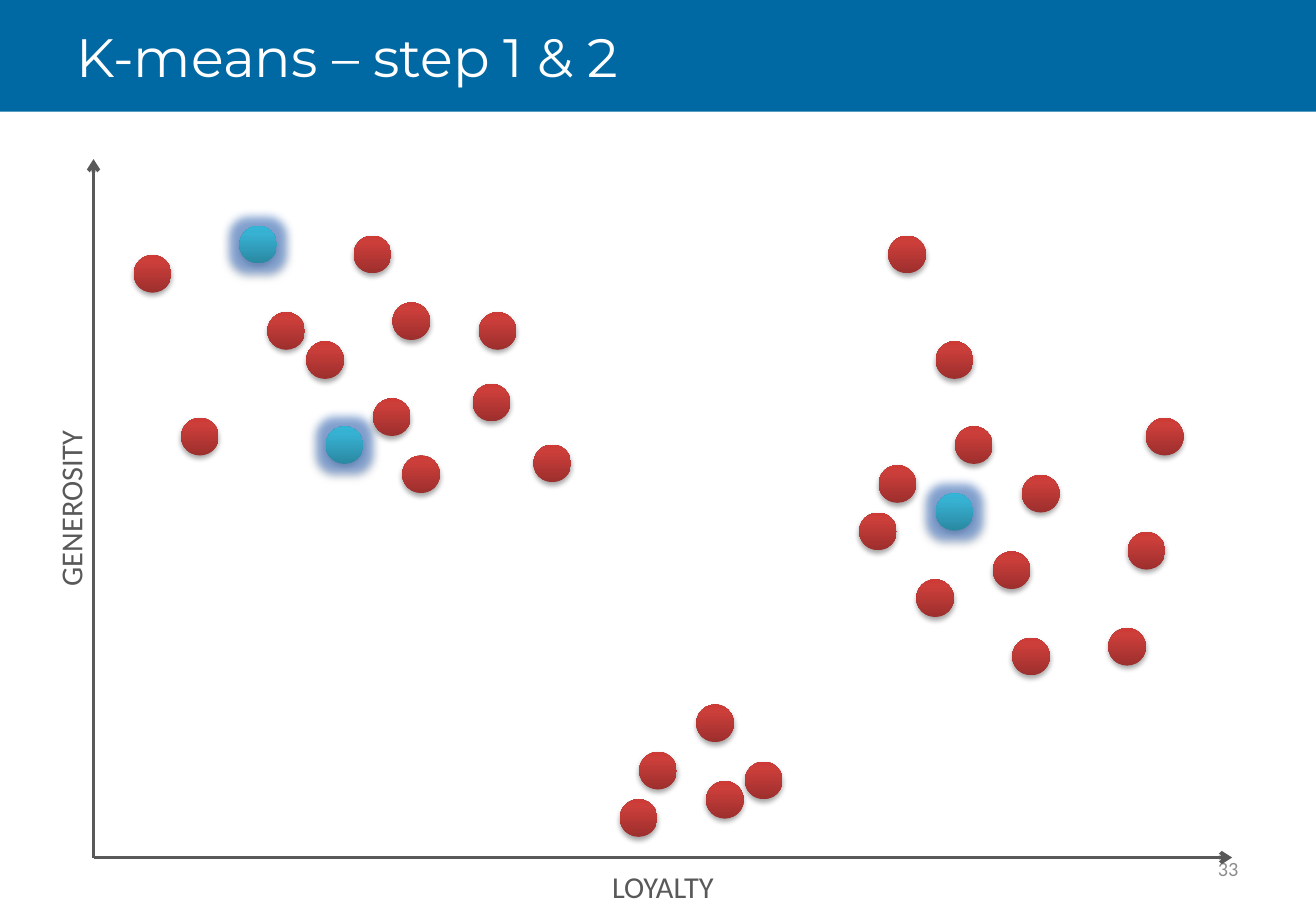
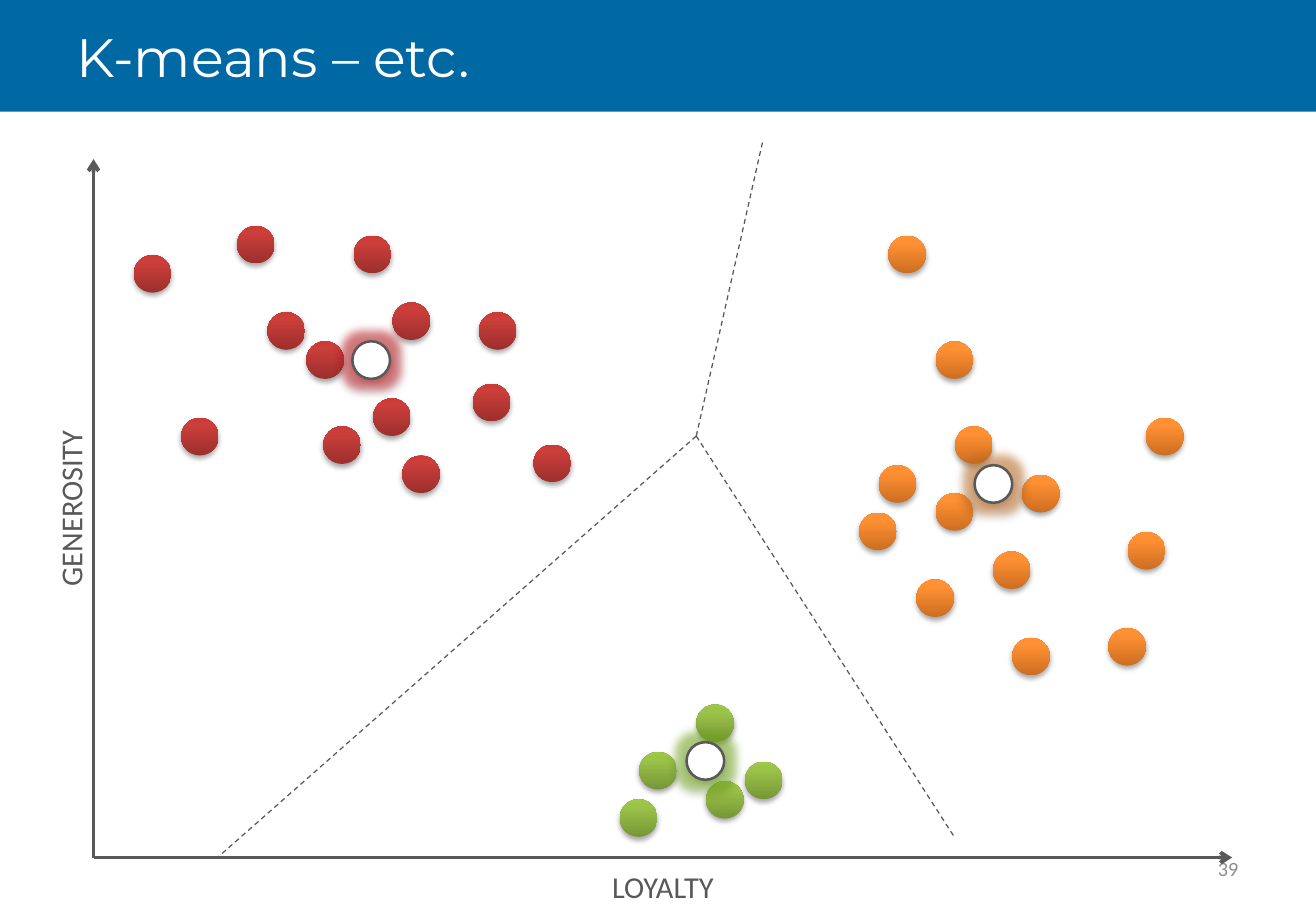
from lxml import etree
from pptx import Presentation
from pptx.dml.color import RGBColor
from pptx.enum.dml import MSO_LINE
from pptx.enum.shapes import MSO_CONNECTOR, MSO_SHAPE
from pptx.enum.text import MSO_ANCHOR, MSO_AUTO_SIZE, PP_ALIGN
from pptx.oxml import parse_xml
from pptx.oxml.ns import nsdecls, qn
from pptx.util import Inches, Pt

OVAL, RECTANGLE = MSO_SHAPE.OVAL, MSO_SHAPE.RECTANGLE
STRAIGHT = MSO_CONNECTOR.STRAIGHT
DASH = MSO_LINE.DASH
MIDDLE = MSO_ANCHOR.MIDDLE
LEFT, CENTER, RIGHT = PP_ALIGN.LEFT, PP_ALIGN.CENTER, PP_ALIGN.RIGHT

BAND_BLUE = RGBColor(0x00, 0x68, 0xA2)
WHITE = RGBColor(0xFF, 0xFF, 0xFF)
BLACK = RGBColor(0x00, 0x00, 0x00)
AXIS_GRAY = RGBColor(0x59, 0x59, 0x59)
NUMBER_GRAY = RGBColor(0x8C, 0x8C, 0x8C)
GLOW_BLUE = RGBColor(0x2F, 0x6B, 0xC6)
GLOW_RED = RGBColor(0xCB, 0x1B, 0x21)
GLOW_ORANGE = RGBColor(0xD3, 0x79, 0x29)
GLOW_GREEN = RGBColor(0x7F, 0xBB, 0x21)

# Gradient colours at 0, 80 and 100 %, from the bottom up
RED = (RGBColor(0x9C, 0x2F, 0x2D), RGBColor(0xCB, 0x3E, 0x3A), RGBColor(0xCE, 0x3B, 0x37))
TEAL = (RGBColor(0x2A, 0x88, 0xA2), RGBColor(0x37, 0xB1, 0xD2), RGBColor(0x34, 0xB4, 0xD6))
ORANGE = (RGBColor(0xCC, 0x6E, 0x20), RGBColor(0xFF, 0x90, 0x34), RGBColor(0xFF, 0x91, 0x36))
GREEN = (RGBColor(0x77, 0x97, 0x37), RGBColor(0x9B, 0xC3, 0x48), RGBColor(0x9D, 0xC7, 0x46))

TITLE_FONT, BODY_FONT = "Montserrat", "Calibri"
SLIDE_W, SLIDE_H = 10.83, 7.5
BAND_H = 0.92
TITLE_BOX = (0.53, 0, 9.75, BAND_H)
NUMBER_BOX = (7.76, 6.95, 2.53, 0.4)
PLOT = (0.77, 1.31, 9.37, 5.75)
DOT = 0.31

# Dots are given by their top left corner, measured from that of the plot
LEFT_CLUSTER = [
    (2.46, 1.18), (1.43, 1.26), (2.14, 0.63), (3.12, 1.85), (1.75, 1.5), (3.62, 2.35),
    (0.33, 0.79), (3.17, 1.26), (2.3, 1.97), (2.54, 2.44), (0.72, 2.13),
]
RIGHT_CLUSTER = [
    (6.93, 1.5), (6.54, 0.63), (8.66, 2.13), (7.09, 2.2), (7.4, 3.23), (6.77, 3.46),
    (6.3, 2.91), (7.64, 2.6), (6.46, 2.52), (8.51, 3.07), (8.35, 3.86), (7.56, 3.94),
]
BOTTOM_CLUSTER = [(4.33, 5.27), (4.96, 4.49), (5.04, 5.12), (5.36, 4.96), (4.49, 4.88)]
SEEDS = [(1.2, 0.55), (1.91, 2.2), (6.93, 2.75)]
FORMER_LEFT_SEEDS = [(1.18, 0.55), (1.89, 2.2)]
FORMER_RIGHT_SEED = (6.93, 2.75)
CENTROIDS = [((2.13, 1.5), GLOW_RED), ((7.25, 2.52), GLOW_ORANGE), ((4.88, 4.8), GLOW_GREEN)]
BORDER_MEETING = (4.96, 2.28)
BORDER_ENDS = [(7.09, 5.59), (1.02, 5.75), (5.51, -0.16)]


def inches(values):
    return [Inches(value) for value in values]


def write(frame, text, font, size, color, align):
    frame.text = text
    paragraph = frame.paragraphs[0]
    paragraph.alignment = align
    run_font = paragraph.runs[0].font
    run_font.name, run_font.size, run_font.color.rgb = font, Pt(size), color


def set_up_layout(prs):
    """Put the title place and the blue band on the layout both slides use."""
    layout = prs.slide_layouts.get_by_name("Title Only")
    title = layout.placeholders[0]
    title.left, title.top, title.width, title.height = inches(TITLE_BOX)
    title.text_frame.vertical_anchor = MIDDLE
    return layout


def move_band_to_layout(slide, layout):
    band = slide.shapes.add_shape(RECTANGLE, *inches((0, 0, SLIDE_W, BAND_H)))
    band.fill.solid()
    band.fill.fore_color.rgb = BAND_BLUE
    band.line.fill.background()
    band.shadow.inherit = False
    layout.shapes._spTree.insert(2, band._element)


def add_titled_slide(prs, layout, title, number):
    slide = prs.slides.add_slide(layout)
    frame = slide.shapes.title.text_frame
    write(frame, title, TITLE_FONT, 32, WHITE, LEFT)
    frame.auto_size = MSO_AUTO_SIZE.NONE
    number_frame = slide.shapes.add_textbox(*inches(NUMBER_BOX)).text_frame
    number_frame.word_wrap = True
    number_frame.vertical_anchor = MIDDLE
    write(number_frame, number, BODY_FONT, 12, NUMBER_GRAY, RIGHT)
    return slide


def add_line(slide, start, end, width, dash=None, arrow=False):
    line = slide.shapes.add_connector(STRAIGHT, *inches((*start, *end)))
    line.line.color.rgb = AXIS_GRAY
    line.line.width = Pt(width)
    if dash:
        line.line.dash_style = dash
    if arrow:
        etree.SubElement(line.line._get_or_add_ln(), qn("a:tailEnd"), type="arrow")
    etree.SubElement(line._element.spPr, qn("a:effectLst"))


def add_axis_label(slide, text, center, width, rotation=0):
    height = 0.4
    x, y = center
    label = slide.shapes.add_textbox(*inches((x - width / 2, y - height / 2, width, height)))
    label.rotation = rotation
    label.text_frame.word_wrap = False
    label.text_frame.auto_size = MSO_AUTO_SIZE.SHAPE_TO_FIT_TEXT
    write(label.text_frame, text, BODY_FONT, 18, AXIS_GRAY, CENTER)


def add_axes(slide, box):
    left, top, width, height = box
    origin = (left, top + height)
    for end in ((left + width, top + height), (left, top)):
        add_line(slide, origin, end, 2.25, arrow=True)
    add_axis_label(slide, "LOYALTY", (left + width / 2, top + height + 0.24), 1.05)
    add_axis_label(slide, "GENEROSITY", (left - 0.19, top + height / 2), 1.5, 270)


def alpha_color(color, percent):
    return f'<a:srgbClr val="{color}"><a:alpha val="{percent * 1000}"/></a:srgbClr>'


def add_effects(dot, glow):
    dot.shadow.inherit = False
    effects = dot._element.spPr.find(qn("a:effectLst"))
    if glow:
        effects.append(parse_xml(
            f'<a:glow {nsdecls("a")} rad="139700">{alpha_color(glow, 50)}</a:glow>'))
    effects.append(parse_xml(
        f'<a:outerShdw {nsdecls("a")} blurRad="{Pt(3.1)}" dist="{Pt(1.8)}" dir="5400000" '
        f'rotWithShape="0">{alpha_color(BLACK, 35)}</a:outerShdw>'))


def add_dot(slide, box, offset, gradient=None, glow=None):
    """Add a gradient dot, or a white outlined one if no gradient is given."""
    dot = slide.shapes.add_shape(
        OVAL, *inches((box[0] + offset[0], box[1] + offset[1], DOT, DOT)))
    if gradient:
        stops = "".join(
            f'<a:gs pos="{position * 1000}"><a:srgbClr val="{color}"/></a:gs>'
            for position, color in zip((0, 80, 100), gradient))
        dot._element.spPr.insert(2, parse_xml(
            f'<a:gradFill {nsdecls("a")} rotWithShape="1"><a:gsLst>{stops}</a:gsLst>'
            '<a:lin ang="16200000" scaled="0"/></a:gradFill>'))
        dot.line.fill.background()
    else:
        dot.fill.solid()
        dot.fill.fore_color.rgb = WHITE
        dot.line.color.rgb = AXIS_GRAY
        dot.line.width = Pt(1.5)
    add_effects(dot, glow)


def add_cluster(slide, box, offsets, gradient, glow=None):
    for offset in offsets:
        add_dot(slide, box, offset, gradient, glow)


def add_seed_plot(slide, box):
    add_cluster(slide, box, SEEDS, TEAL, GLOW_BLUE)
    add_cluster(slide, box, LEFT_CLUSTER + RIGHT_CLUSTER + BOTTOM_CLUSTER, RED)
    add_axes(slide, box)


def add_cluster_plot(slide, box):
    add_cluster(slide, box, FORMER_LEFT_SEEDS + LEFT_CLUSTER, RED)
    add_cluster(slide, box, [FORMER_RIGHT_SEED] + RIGHT_CLUSTER, ORANGE)
    add_cluster(slide, box, BOTTOM_CLUSTER, GREEN)
    for offset, glow in CENTROIDS:
        add_dot(slide, box, offset, glow=glow)
    add_axes(slide, box)
    left, top = box[:2]
    meeting = (left + BORDER_MEETING[0], top + BORDER_MEETING[1])
    for x, y in BORDER_ENDS:
        add_line(slide, meeting, (left + x, top + y), 0.75, dash=DASH)


def main():
    prs = Presentation()
    prs.slide_width, prs.slide_height = inches((SLIDE_W, SLIDE_H))
    layout = set_up_layout(prs)
    seed_slide = add_titled_slide(prs, layout, "K-means – step 1 & 2", "33")
    move_band_to_layout(seed_slide, layout)
    add_seed_plot(seed_slide, PLOT)
    cluster_slide = add_titled_slide(prs, layout, "K-means – etc.", "39")
    add_cluster_plot(cluster_slide, PLOT)
    prs.save("out.pptx")


if __name__ == "__main__":
    main()
